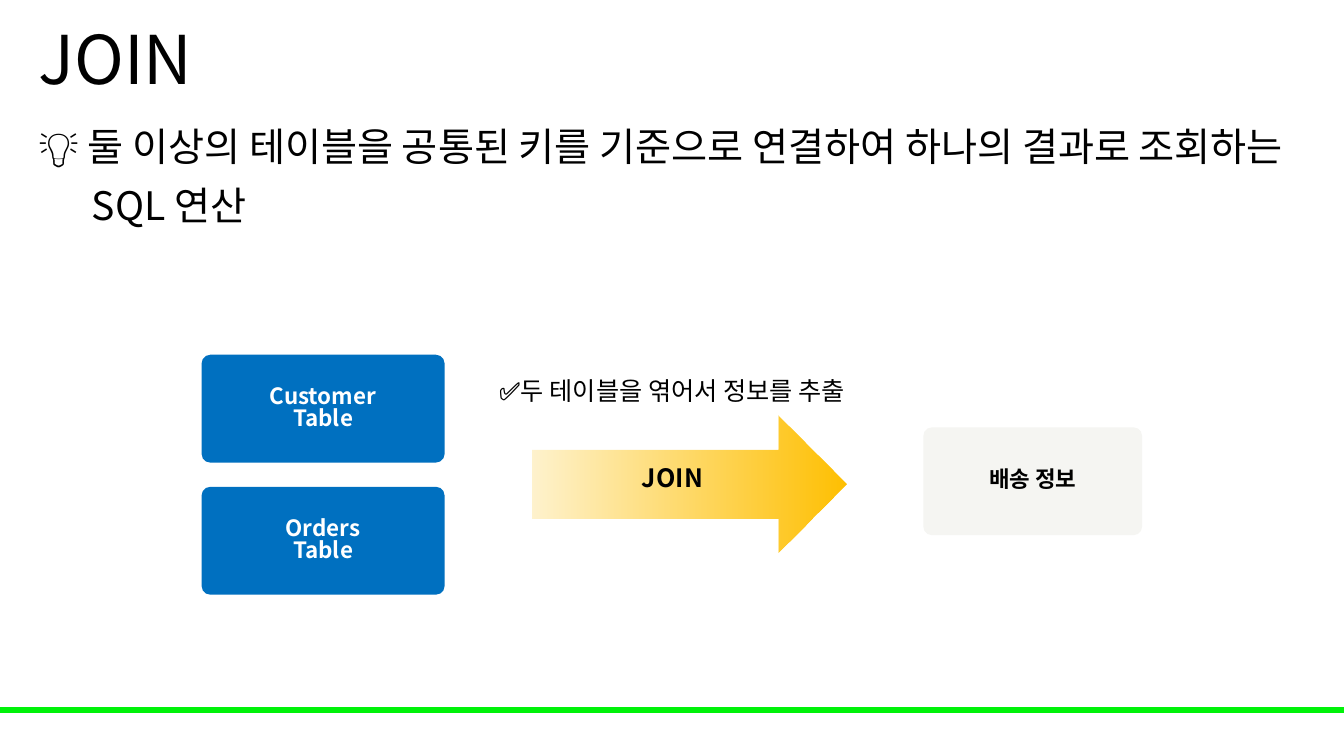
from dataclasses import dataclass

from lxml import etree
from pptx import Presentation
from pptx.dml.color import RGBColor
from pptx.enum.shapes import MSO_SHAPE
from pptx.enum.text import MSO_ANCHOR, MSO_AUTO_SIZE, PP_ALIGN
from pptx.oxml.ns import qn
from pptx.util import Inches, Pt

RECT, ROUNDED, ARROW = MSO_SHAPE.RECTANGLE, MSO_SHAPE.ROUNDED_RECTANGLE, MSO_SHAPE.RIGHT_ARROW
LEFT, CENTER = PP_ALIGN.LEFT, PP_ALIGN.CENTER
MIDDLE, TOP = MSO_ANCHOR.MIDDLE, MSO_ANCHOR.TOP
NO_FIT = MSO_AUTO_SIZE.NONE
SLIDE_W, SLIDE_H = Inches(13.333), Inches(7.5)


@dataclass(frozen=True)
class Theme:
    font: str = "Noto Sans CJK KR"
    black: str = "000000"
    white: str = "FFFFFF"
    blue: str = "0070C0"
    gold: str = "FFC000"
    pale: str = "F5F5F2"
    green: str = "00F209"
    title: int = 48
    body: int = 28
    label: int = 18
    box: int = 16


T = Theme()


def area(x, y, w, h):
    """Turn percentages of the slide's width and height into lengths."""
    return [int(share * side / 100)
            for share, side in zip((x, y, w, h), (SLIDE_W, SLIDE_H) * 2)]


def place(sp, box):
    sp.left, sp.top, sp.width, sp.height = area(*box)


def add_run(p, text, size, color=T.black, bold=False):
    r = p.add_run()
    r.text = text
    r.font.size, r.font.bold, r.font.name = Pt(size), bold, T.font
    r.font.color.rgb = RGBColor.from_string(color)
    etree.SubElement(r.font._element, qn("a:ea"), typeface=T.font)


def write(tf, lines, size, color=T.black, bold=False, align=LEFT,
          anchor=TOP, spacing=1.0, wrap=True):
    tf.word_wrap, tf.auto_size, tf.vertical_anchor = wrap, NO_FIT, anchor
    for i, line in enumerate(lines):
        p = tf.add_paragraph() if i else tf.paragraphs[0]
        p.alignment, p.line_spacing = align, spacing
        p.space_before = Pt(0)
        add_run(p, line, size, color, bold)


def add_box(slide, kind, box, fill):
    sp = slide.shapes.add_shape(kind, *area(*box))
    sp.shadow.inherit = False
    sp.fill.solid()
    sp.fill.fore_color.rgb = RGBColor.from_string(fill)
    sp.line.fill.background()
    return sp


def add_card(slide, box, lines, fill, color):
    sp = add_box(slide, ROUNDED, box, fill)
    sp.adjustments[0] = 0.08
    write(sp.text_frame, lines, T.box, color, True, CENTER, MIDDLE, 0.82)


def add_fading_arrow(slide, box):
    sp = add_box(slide, ARROW, box, T.gold)
    sp.fill.gradient()
    sp.fill.gradient_angle = 0
    for stop in sp.fill.gradient_stops:
        stop.color.rgb = RGBColor.from_string(T.gold)
    first = next(sp._element.iter(qn("a:srgbClr")))
    etree.SubElement(first, qn("a:alpha"), val="20000")


def add_label(slide, box, text, **style):
    sp = slide.shapes.add_textbox(*area(*box))
    write(sp.text_frame, [text], T.label, **style)


def fill_body(sp, lines):
    place(sp, (2.1, 15.47, 96, 18.4))
    write(sp.text_frame, lines, T.body)
    hang = Inches(0.53)
    for i, p in enumerate(sp.text_frame.paragraphs):
        p.space_before = Pt(9 if i else 0)
        pPr = p._p.get_or_add_pPr()
        pPr.set("marL", str(hang))
        pPr.set("indent", str(0 if i else -hang))
        etree.SubElement(pPr, qn("a:buNone"))


def main():
    prs = Presentation()
    prs.slide_width, prs.slide_height = SLIDE_W, SLIDE_H
    slide = prs.slides.add_slide(prs.slide_layouts[1])

    # Footer rule
    bar = add_box(slide, RECT, (0, 93.6, 100, 0.67), T.green)
    bar.line.color.rgb = RGBColor.from_string(T.green)
    bar.line.width = Pt(1)

    # Heading and definition
    title, body = slide.placeholders
    place(title, (2.1, 0, 86.25, 16.67))
    write(title.text_frame, ["JOIN"], T.title, anchor=MIDDLE, spacing=0.9)
    fill_body(body, ["💡 둘 이상의 테이블을 공통된 키를 기준으로 연결하여 하나의 결과로 조회하는",
                     "SQL 연산"])

    # Source tables
    for row, name in enumerate(("Customer", "Orders")):
        add_card(slide, (15, 46.93 + row * 17.47, 18.08, 14.27),
                 [name, "Table"], T.blue, T.white)

    # Join arrow and result
    add_fading_arrow(slide, (39.64, 55, 23.33, 18.13))
    add_label(slide, (47.03, 60.53, 6.9, 6.27), "JOIN", bold=True, wrap=False)
    add_card(slide, (68.7, 56.53, 16.28, 14.27), ["배송 정보"], T.pale, T.black)
    add_label(slide, (22.95, 48.93, 54.08, 5.33), "✅두 테이블을 엮어서 정보를 추출",
              align=CENTER)

    prs.save("out.pptx")


if __name__ == "__main__":
    main()
